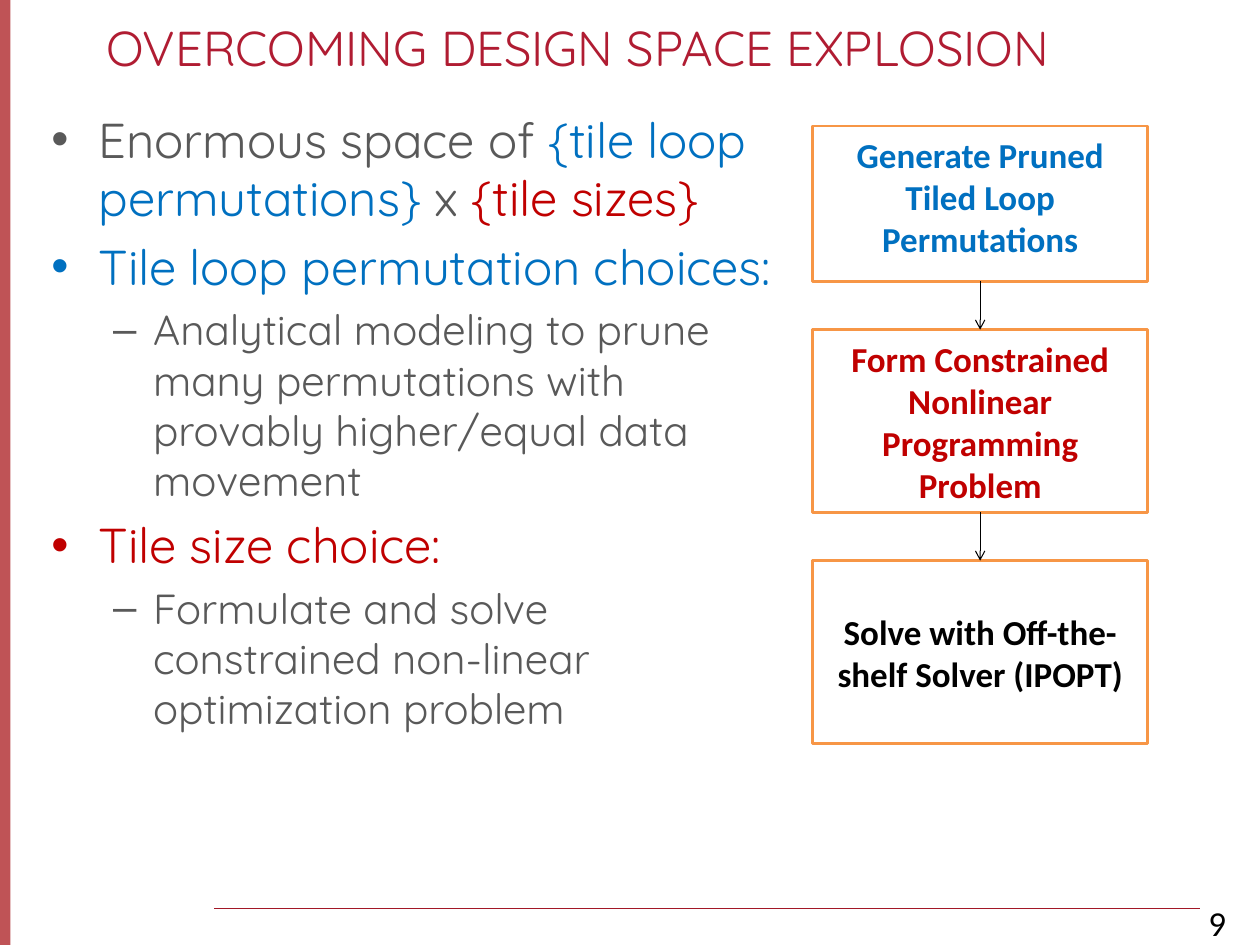
from lxml import etree
from pptx import Presentation
from pptx.dml.color import RGBColor
from pptx.enum.shapes import MSO_CONNECTOR, MSO_SHAPE
from pptx.enum.text import MSO_ANCHOR, PP_ALIGN
from pptx.oxml.ns import qn
from pptx.util import Inches, Pt

RECTANGLE = MSO_SHAPE.RECTANGLE
STRAIGHT = MSO_CONNECTOR.STRAIGHT
MIDDLE = MSO_ANCHOR.MIDDLE
LEFT, CENTER = PP_ALIGN.LEFT, PP_ALIGN.CENTER
BLUE, RED, GRAY, BLACK = "0070C0", "C00000", "595959", "000000"


def color(value):
    return RGBColor.from_string(value)


def add_text(para, text, size=24, font="Calibri", fill=BLACK, bold=False):
    span = para.add_run()
    span.text = text
    span.font.size = Pt(size)
    span.font.name = font
    span.font.bold = bold
    span.font.color.rgb = color(fill)


deck = Presentation()
deck.slide_width, deck.slide_height = Inches(12), Inches(9)
page = deck.slides.add_slide(deck.slide_layouts[5])
shapes = page.shapes

bar = shapes.add_shape(RECTANGLE, 0, 0, Inches(0.1), Inches(9))
bar.shadow.inherit = False
bar.fill.solid()
bar.fill.fore_color.rgb = color("AF282C")
bar.line.fill.background()
bar_color = bar.fill._xPr.find(qn("a:solidFill"))[0]
etree.SubElement(bar_color, qn("a:alpha"), val="80000")

title = shapes.title
title.left, title.top = Inches(0.91), Inches(0.09)
title.width, title.height = Inches(10.49), Inches(0.72)
title.text_frame.vertical_anchor = MIDDLE
title_para = title.text_frame.paragraphs[0]
title_para.alignment = LEFT
add_text(title_para, "OVERCOMING DESIGN SPACE EXPLOSION",
         size=33.6, font="Quicksand", fill="B01C32")

number_box = shapes.add_textbox(Inches(11.41), Inches(8.54), Inches(0.6), Inches(0.46))
add_text(number_box.text_frame.paragraphs[0], "9")

bullets = [
    (0, [("Enormous space of ", GRAY), ("{tile loop permutations} ", BLUE),
         ("x ", GRAY), ("{tile sizes}", RED)]),
    (0, [("Tile loop permutation choices:", BLUE)]),
    (1, [("Analytical modeling to prune many permutations with "
          "provably higher/equal data movement", GRAY)]),
    (0, [("Tile size choice:", RED)]),
    (1, [("Formulate and solve constrained non-linear optimization problem", GRAY)]),
]
level_styles = [("•", 33.6, 0.45, -0.45), ("–", 28.8, 0.97, -0.38)]

body = shapes.add_textbox(Inches(0.39), Inches(0.99), Inches(7.14), Inches(6.27))
body.text_frame.word_wrap = True
for index, (level, spans) in enumerate(bullets):
    mark, size, margin, indent = level_styles[level]
    para = body.text_frame.paragraphs[0] if index == 0 else body.text_frame.add_paragraph()
    para.level = level
    if index:
        para.space_before = Pt(size * 0.2)
    properties = para._p.get_or_add_pPr()
    properties.set("marL", str(Inches(margin)))
    properties.set("indent", str(Inches(indent)))
    etree.SubElement(properties, qn("a:buFont"), typeface="Arial")
    etree.SubElement(properties, qn("a:buChar"), char=mark)
    for text, fill in spans:
        add_text(para, text, size=size, font="Quicksand", fill=fill)

steps = [
    ("Generate Pruned Tiled Loop Permutations", BLUE, 1.2, 1.48, 0.18),
    ("Form Constrained Nonlinear Programming Problem", RED, 3.14, 1.74, 0.05),
    ("Solve with Off-the-shelf Solver (IPOPT)", BLACK, 5.34, 1.74, 0.05),
]
step_left, step_width = 7.74, 3.19
for text, fill, top, height, bottom_margin in steps:
    box = shapes.add_shape(RECTANGLE, Inches(step_left), Inches(top),
                           Inches(step_width), Inches(height))
    box.shadow.inherit = False
    box.fill.solid()
    box.fill.fore_color.rgb = color("FFFFFF")
    box.line.color.rgb = color("F79646")
    box.line.width = Pt(2)
    frame = box.text_frame
    frame.word_wrap = True
    frame.vertical_anchor = MIDDLE
    frame.margin_bottom = Inches(bottom_margin)
    frame.paragraphs[0].alignment = CENTER
    add_text(frame.paragraphs[0], text, fill=fill, bold=True)

middle = step_left + step_width / 2
lines = [(2.04, 8.65, 11.43, 8.65, "A21727", 1, False)]
for upper, lower in zip(steps, steps[1:]):
    lines.append((middle, upper[2] + upper[3], middle, lower[2], BLACK, 0.75, True))

for x1, y1, x2, y2, stroke, width, arrow in lines:
    line = shapes.add_connector(STRAIGHT, Inches(x1), Inches(y1), Inches(x2), Inches(y2))
    line.line.color.rgb = color(stroke)
    line.line.width = Pt(width)
    if arrow:
        etree.SubElement(line.line._get_or_add_ln(), qn("a:tailEnd"), type="arrow")
    etree.SubElement(line._element.spPr, qn("a:effectLst"))

deck.save("out.pptx")
